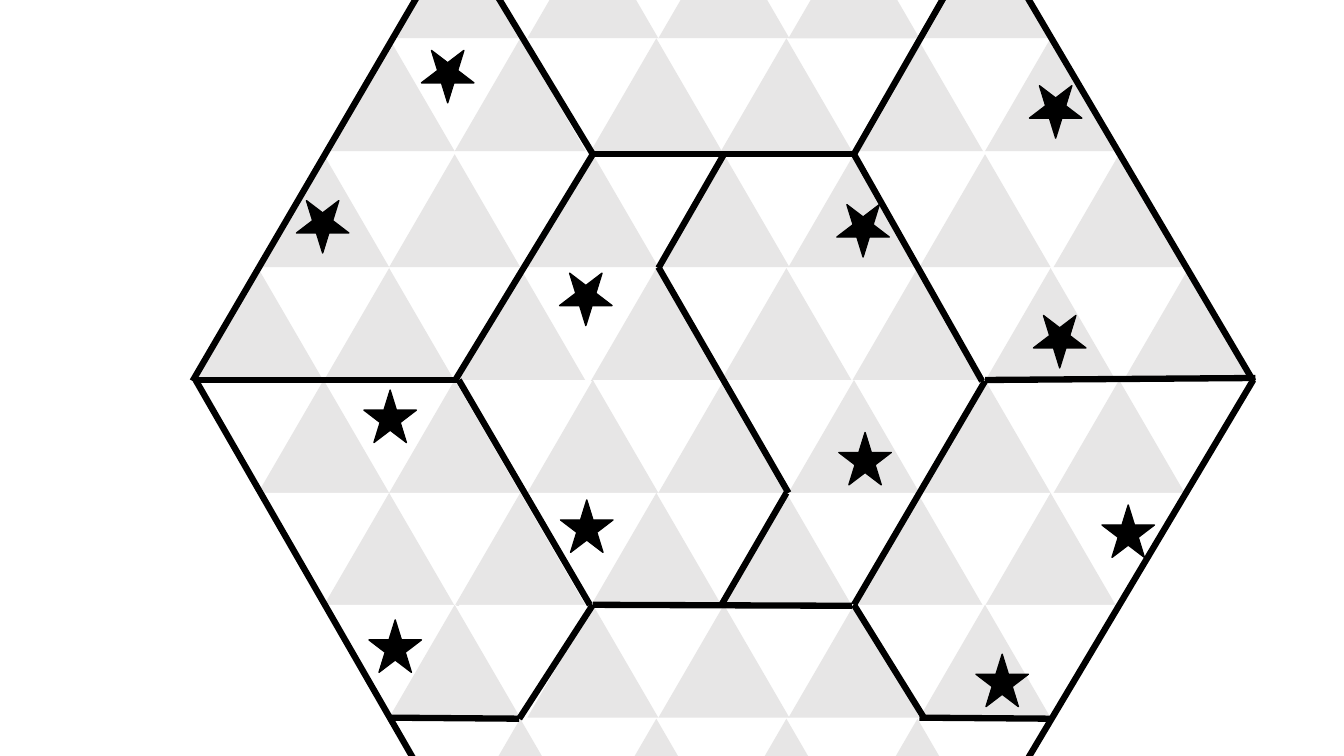
"""Build a slide with a triangle-tiled hexagon, divided into starred regions."""
from collections.abc import Iterable
from dataclasses import dataclass

from lxml import etree
from pptx import Presentation
from pptx.dml.color import RGBColor
from pptx.enum.shapes import MSO_CONNECTOR, MSO_SHAPE
from pptx.oxml.ns import qn
from pptx.shapes.shapetree import GroupShapes, SlideShapes
from pptx.util import Inches, Pt

TRIANGLE = MSO_SHAPE.ISOSCELES_TRIANGLE
STAR = MSO_SHAPE.STAR_5_POINT
STRAIGHT = MSO_CONNECTOR.STRAIGHT

Shapes = SlideShapes | GroupShapes


@dataclass(frozen=True)
class Theme:
    ink: RGBColor = RGBColor(0x00, 0x00, 0x00)
    grey: RGBColor = RGBColor(0xE7, 0xE6, 0xE6)
    white: RGBColor = RGBColor(0xFF, 0xFF, 0xFF)
    border: float = 4.5
    star_line: float = 1


@dataclass(frozen=True)
class Lattice:
    up: tuple[float, ...]
    down: tuple[float, ...]


@dataclass(frozen=True)
class Row:
    top: float
    lattice: Lattice
    up: Iterable[int]
    down: Iterable[int]


@dataclass(frozen=True)
class Star:
    left: float
    top: float
    rotation: int = 0


@dataclass(frozen=True)
class Segment:
    x1: float
    y1: float
    x2: float
    y2: float


THEME = Theme()
TRIANGLE_W, TRIANGLE_H = 1.3, 1.12
STAR_SIZE = 0.52

WIDE = Lattice(
    up=(1.91, 3.21, 4.51, 5.86, 7.15, 8.45, 9.77, 11.14),
    down=(2.59, 3.88, 5.23, 6.53, 7.82, 9.12, 10.42),
)
NARROW = Lattice(
    up=(2.56, 3.86, 5.23, 6.53, 7.82, 9.12, 10.45),
    down=(1.94, 3.23, 4.55, 5.88, 7.18, 8.47, 9.77, 11.07),
)
ROWS = (
    Row(-0.74, NARROW, range(1, 6), range(2, 6)),
    Row(0.38, WIDE, range(1, 7), (1, 2, 3, 5)),
    Row(1.53, NARROW, range(7), range(1, 8)),
    Row(2.66, WIDE, range(8), range(7)),
    Row(3.77, NARROW, range(7), range(8)),
    Row(4.89, WIDE, range(1, 7), range(7)),
    Row(6, NARROW, range(1, 6), range(1, 7)),
    Row(7.13, WIDE, range(2, 6), range(1, 6)),
)
OUTLINE = (
    Segment(4.55, -0.74, 1.91, 3.78),
    Segment(1.94, 3.77, 4.51, 8.24),
    Segment(9.77, 8.24, 12.43, 3.77),
    Segment(12.43, 3.78, 9.77, -0.74),
)
STARS = (
    Star(5.55, 2.71, 180),
    Star(10.25, 3.13, 180),
    Star(2.94, 1.99, 180),
    Star(8.3, 2.03, 180),
    Star(10.21, 0.85, 180),
    Star(4.18, 0.5, 180),
    Star(8.32, 4.29),
    Star(3.61, 3.87),
    Star(10.93, 5.01),
    Star(5.56, 4.96),
    Star(3.66, 6.15),
    Star(9.68, 6.49),
)
REGION_BORDERS = (
    Segment(12.45, 3.75, 9.77, 3.77),
    Segment(8.47, 6, 9.77, 3.78),
    Segment(8.45, 6.01, 5.88, 6),
    Segment(4.55, 3.77, 1.94, 3.77),
    Segment(5.85, 6, 4.55, 3.77),
    Segment(9.17, 7.13, 8.47, 6),
    Segment(5.88, 6, 5.15, 7.13),
    Segment(8.47, 1.53, 9.74, 3.78),
    Segment(8.47, 1.53, 5.88, 1.53),
    Segment(4.51, -0.74, 5.88, 1.53),
    Segment(5.88, 1.53, 4.51, 3.78),
    Segment(8.47, 1.53, 9.77, -0.74),
    Segment(6.53, 2.66, 7.18, 1.53),
    Segment(7.82, 4.89, 6.53, 2.65),
    Segment(7.15, 6.01, 7.8, 4.89),
    Segment(10.42, 7.13, 9.12, 7.12),
    Segment(5.15, 7.13, 3.86, 7.12),
)


def add_triangle(shapes: Shapes, left: float, top: float, color: RGBColor, rotation: int = 0) -> None:
    s = shapes.add_shape(TRIANGLE, Inches(left), Inches(top), Inches(TRIANGLE_W), Inches(TRIANGLE_H))
    s.rotation = rotation
    s.shadow.inherit = False
    s.fill.solid()
    s.fill.fore_color.rgb = color
    s.line.fill.background()


def add_row(shapes: Shapes, row: Row) -> None:
    for i in row.down:
        add_triangle(shapes, row.lattice.down[i], row.top, THEME.white, 180)
    for i in row.up:
        add_triangle(shapes, row.lattice.up[i], row.top, THEME.grey)


def add_star(shapes: Shapes, star: Star) -> None:
    s = shapes.add_shape(STAR, Inches(star.left), Inches(star.top), Inches(STAR_SIZE), Inches(STAR_SIZE))
    s.rotation = star.rotation
    s.shadow.inherit = False
    s.fill.solid()
    s.fill.fore_color.rgb = THEME.ink
    s.line.color.rgb = THEME.ink
    s.line.width = Pt(THEME.star_line)


def add_segment(shapes: Shapes, seg: Segment) -> None:
    c = shapes.add_connector(STRAIGHT, Inches(seg.x1), Inches(seg.y1), Inches(seg.x2), Inches(seg.y2))
    c.line.color.rgb = THEME.ink
    c.line.width = Pt(THEME.border)
    etree.SubElement(c._element.spPr, qn("a:effectLst"))


def main() -> None:
    prs = Presentation()
    prs.slide_width, prs.slide_height = Inches(13.33), Inches(7.5)
    slide = prs.slides.add_slide(prs.slide_layouts[6])
    hexagon = slide.shapes.add_group_shape().shapes
    for row in ROWS:
        add_row(hexagon, row)
    for seg in OUTLINE:
        add_segment(hexagon, seg)
    stars = slide.shapes.add_group_shape().shapes
    for star in STARS:
        add_star(stars, star)
    for seg in REGION_BORDERS:
        add_segment(slide.shapes, seg)
    prs.save("out.pptx")


if __name__ == "__main__":
    main()
